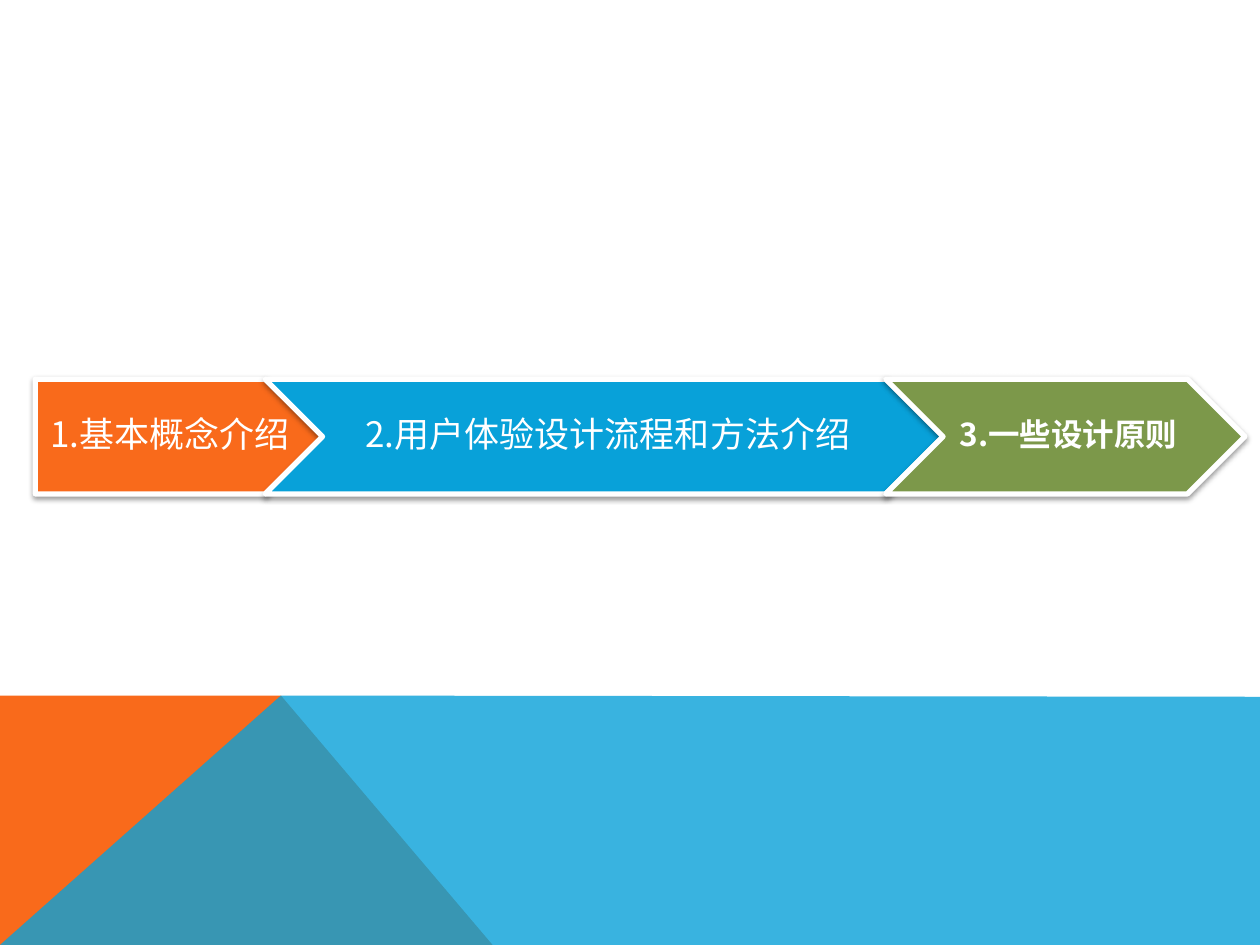
from lxml import etree
from pptx import Presentation
from pptx.dml.color import RGBColor
from pptx.enum.shapes import MSO_SHAPE
from pptx.enum.text import MSO_ANCHOR, PP_ALIGN
from pptx.oxml.ns import qn
from pptx.util import Inches, Pt

PENTAGON = MSO_SHAPE.PENTAGON
CHEVRON = MSO_SHAPE.CHEVRON
MIDDLE = MSO_ANCHOR.MIDDLE
CENTER = PP_ALIGN.CENTER
FONT = "Noto Sans CJK SC"
COLORS = {"orange": "F96A1B", "blue": "08A1D9", "green": "7C984A",
          "white": "FFFFFF", "black": "000000"}
STEPS = [
    ("1.基本概念介绍", PENTAGON, "orange", 2.28, 20, False, 0.12),
    ("2.用户体验设计流程和方法介绍", CHEVRON, "blue", 5.38, 20, False, 0.09),
    ("3.一些设计原则", CHEVRON, "green", 2.85, 18, True, 0.08),
]


def color(name):
    return RGBColor.from_string(COLORS[name])


def paint(shape, name):
    shape.shadow.inherit = False
    shape.fill.solid()
    shape.fill.fore_color.rgb = color(name)


def add_color_child(parent, name, alpha):
    tint = etree.SubElement(parent, qn("a:srgbClr"), val=COLORS[name])
    etree.SubElement(tint, qn("a:alpha"), val=str(alpha * 1000))


def add_shadow(shape):
    effects = shape._element.spPr.find(qn("a:effectLst"))
    shadow = etree.SubElement(effects, qn("a:outerShdw"), blurRad=str(Pt(3.1)),
                              dist=str(Pt(1.6)), dir="5400000", rotWithShape="0")
    add_color_child(shadow, "black", 38)


def add_polygon(page, points, name, alpha=None):
    corners = [(Inches(x), Inches(y)) for x, y in points]
    builder = page.shapes.build_freeform(*corners[0])
    builder.add_line_segments(corners[1:], close=True)
    shape = builder.convert_to_shape()
    paint(shape, name)
    shape.line.fill.background()
    if alpha is not None:
        fill = shape._element.spPr.find(qn("a:solidFill"))
        fill.clear()
        add_color_child(fill, name, alpha)


def add_footer(page, left, top, width, height):
    right, bottom = left + width, top + height
    peak = (left + 2.23, top)
    add_polygon(page, [(left, bottom), (left, top), peak, (left + 3.91, bottom)], "orange")
    add_polygon(page, [(left, bottom), peak, (right, top + 0.01), (right, bottom)], "blue", 80)


def add_label(page, text, left, top, width, height, size, bold, inset):
    box = page.shapes.add_textbox(Inches(left), Inches(top), Inches(width), Inches(height))
    frame = box.text_frame
    frame.word_wrap = True
    frame.vertical_anchor = MIDDLE
    frame.margin_left, frame.margin_right = Inches(inset), Inches(0.03)
    frame.margin_top = frame.margin_bottom = Inches(0.06)
    para = frame.paragraphs[0]
    para.text = text
    para.alignment = CENTER
    para.line_spacing = 0.9
    font = para.font
    font.size, font.bold, font.name = Pt(size), bold, FONT
    font.color.rgb = color("white")
    latin = font._element.find(qn("a:latin"))
    latin.addnext(latin.makeelement(qn("a:ea"), {"typeface": FONT}))


def add_steps(page, left, top, height):
    point = height / 2
    for text, kind, name, width, size, bold, inset in STEPS:
        arrow = page.shapes.add_shape(kind, Inches(left), Inches(top),
                                      Inches(width), Inches(height))
        paint(arrow, name)
        arrow.line.color.rgb = color("white")
        arrow.line.width = Pt(3)
        add_shadow(arrow)
        if kind == PENTAGON:
            text_left, text_width = left, width - point / 2
        else:
            text_left, text_width = left + point, width - 2 * point
        add_label(page, text, text_left, top, text_width, height, size, bold, inset)
        left += width - point


def main():
    deck = Presentation()
    deck.slide_width, deck.slide_height = Inches(10), Inches(7.5)
    page = deck.slides.add_slide(deck.slide_layouts[6])
    add_footer(page, 0, 5.52, 10, 1.98)
    add_steps(page, 0.28, 3.01, 0.91)
    deck.save("out.pptx")


if __name__ == "__main__":
    main()
